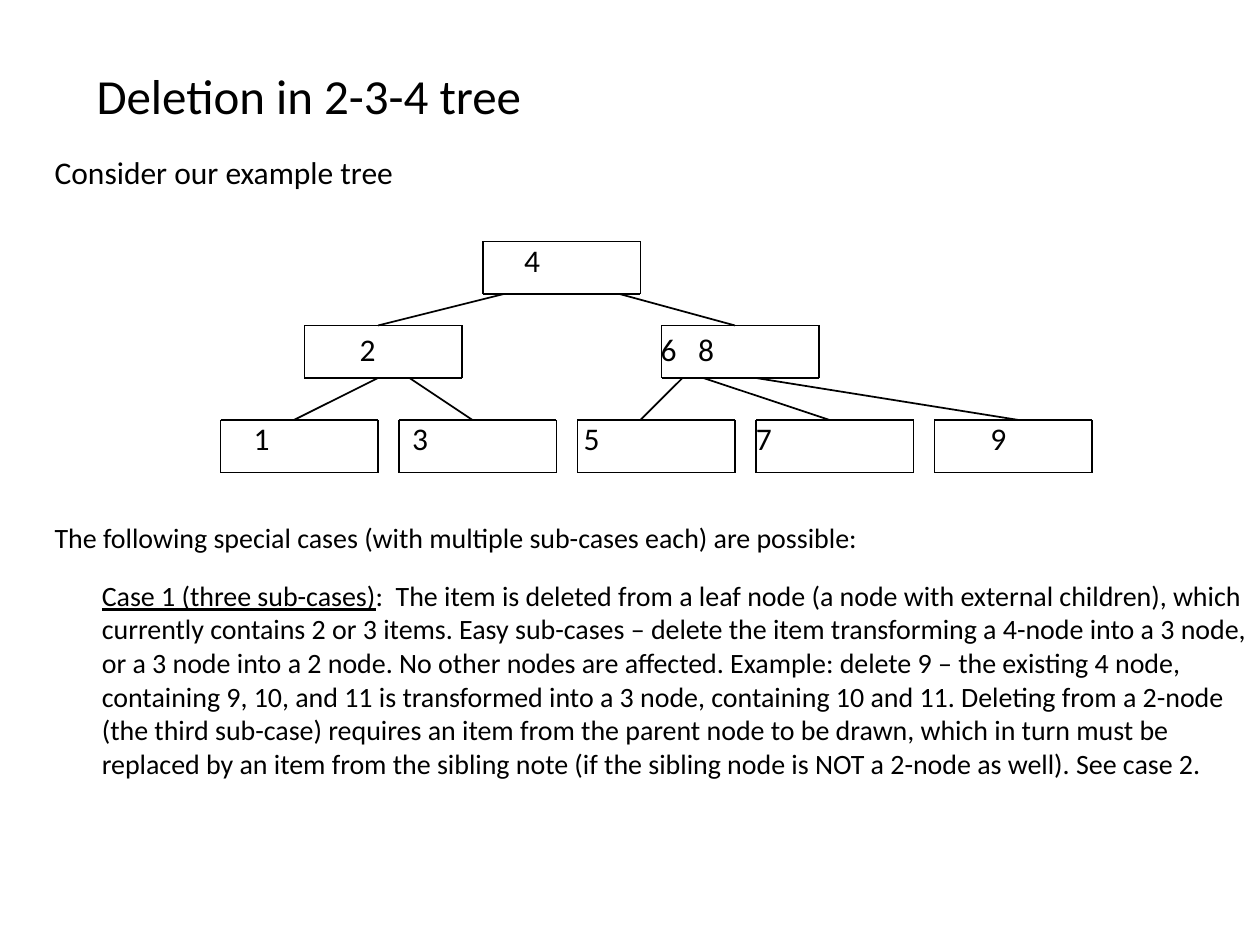
from lxml import etree
from pptx import Presentation
from pptx.dml.color import RGBColor
from pptx.enum import shapes, text
from pptx.oxml.ns import qn
from pptx.util import Pt

BLACK = RGBColor(0, 0, 0)
FONT = "Calibri"
WIDE, HIGH = 90, 30

NODES = [
    (150, 12, [("4", 23.5, 0)]),
    (48, 60, [("2", 31.5, 2.5)]),
    (252, 60, [("6", -0.5, 2.5), ("8", 21, 2.5)]),
]
LEAVES = [("1", 19), ("3", 7.5), ("5", 3.5), ("7", 0), ("9", 32)]
LEAF_TOP, LEAF_STEP = 114, 102

EDGES = [
    (162, 42, 90, 60), (228, 42, 294, 60),
    (90, 90, 42, 114), (108, 90, 144, 114),
    (264, 90, 240, 114), (276, 90, 348, 114), (306, 90, 456, 114),
]

INTRO = "Consider our example tree"
LEAD = "The following special cases (with multiple sub-cases each) are possible:"
CASE = "Case 1 (three sub-cases)"
DETAIL = (
    ":  The item is deleted from a leaf node (a node with external children), "
    "which currently contains 2 or 3 items. Easy sub-cases – delete the item "
    "transforming a 4-node into a 3 node, or a 3 node into a 2 node. No other "
    "nodes are affected. Example: delete 9 – the existing 4 node, containing "
    "9, 10, and 11 is transformed into a 3 node, containing 10 and 11. "
    "Deleting from a 2-node (the third sub-case) requires an item from the "
    "parent node to be drawn, which in turn must be replaced by an item from "
    "the sibling note (if the sibling node is NOT a 2-node as well). See case 2."
)


def write(slide, box, words, size=18, under="", anchor=text.MSO_ANCHOR.TOP):
    """Place a text box, with an optional underlined opening."""
    frame = slide.shapes.add_textbox(*map(Pt, box)).text_frame
    frame.word_wrap = True
    frame.vertical_anchor = anchor
    frame.margin_left = frame.margin_right = 0
    frame.margin_top = frame.margin_bottom = 0
    para = frame.paragraphs[0]
    for part, line in ((under, True), (words, False)):
        if part:
            run = para.add_run()
            run.text = part
            run.font.name, run.font.size = FONT, Pt(size)
            run.font.color.rgb = BLACK
            if line:
                run.font.underline = True


def edge(slide, *ends):
    """Draw a plain black line."""
    line = slide.shapes.add_connector(
        shapes.MSO_CONNECTOR.STRAIGHT, *map(Pt, ends))
    line.line.color.rgb = BLACK
    line.line.width = Pt(1)
    etree.SubElement(line._element.spPr, qn("a:effectLst"))


def node(slide, left, top, keys):
    """Draw one tree node from four sides, with its keys."""
    right, low = left + WIDE, top + HIGH
    for y in (top, low):
        edge(slide, left, y, right, y)
    for x in (left, right):
        edge(slide, x, top, x, low)
    for key, shift, drop in keys:
        write(slide, (left + shift, top + drop, 20, 22), key)


def tree(slide, left, top):
    """Draw the example tree from its top left corner."""
    for x, y, keys in NODES:
        node(slide, left + x, top + y, keys)
    for i, (key, shift) in enumerate(LEAVES):
        node(slide, left + i * LEAF_STEP, top + LEAF_TOP, [(key, shift, -0.75)])
    for x1, y1, x2, y2 in EDGES:
        edge(slide, left + x1, top + y1, left + x2, top + y2)


def head(slide, left, top, width, height):
    """Write the title in its box."""
    write(slide, (left, top, width, height), "Deletion in 2-3-4 tree",
          size=28, anchor=text.MSO_ANCHOR.MIDDLE)


def body(slide, left, top, width):
    """Write the introduction and the special cases."""
    write(slide, (left, top, width, 22), INTRO)
    write(slide, (left, top + 210, width, 20), LEAD, size=16)
    write(slide, (left + 27, top + 243, width - 27, 118), DETAIL,
          size=16, under=CASE)


def main():
    """Build and save the slide."""
    deck = Presentation()
    deck.slide_width, deck.slide_height = Pt(720), Pt(540)
    slide = deck.slides.add_slide(deck.slide_layouts[6])
    head(slide, 55.2, 24, 621.6, 60)
    body(slide, 31.2, 87.5, 682)
    tree(slide, 126, 126)
    deck.save("out.pptx")


if __name__ == "__main__":
    main()
